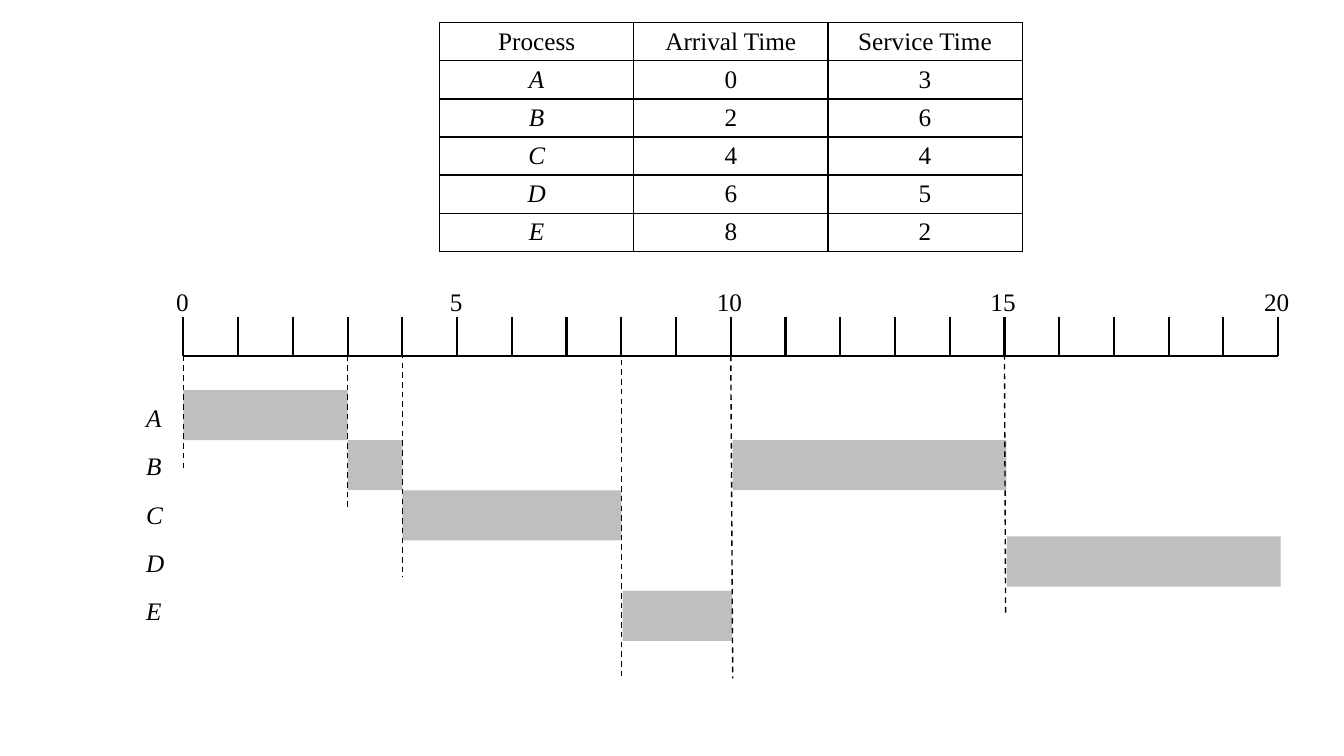
from pptx import Presentation
from pptx.dml.color import RGBColor as Rgb
from pptx.enum.dml import MSO_LINE as Dash
from pptx.enum.shapes import MSO_CONNECTOR as Conn, MSO_SHAPE as Shape
from pptx.enum.text import MSO_ANCHOR as Anchor, PP_ALIGN as Align
from pptx.oxml.ns import qn
from pptx.util import Pt
from lxml.etree import SubElement as sub

FONT, BLACK, GRAY = "Times New Roman", "000000", "BFBFBF"
TABLE = [
    ("Process", "Arrival Time", "Service Time"),
    ("A", "0", "3"),
    ("B", "2", "6"),
    ("C", "4", "4"),
    ("D", "6", "5"),
    ("E", "8", "2"),
]
LANES = {"A": 278.6, "B": 314.4, "C": 350.2, "D": 383.2, "E": 422}
BARS = [("A", 0, 3, 0), ("B", 3, 4, 0), ("C", 4, 8, 0),
        ("E", 8, 10, 1), ("B", 10, 15, 1.4), ("D", 15, 20, 1.8)]
DROPS = [(0, 254, 336, 0), (3, 254, 364.5, 0), (4, 252, 412.5, 0),
         (8, 250, 484.5, 0), (10, 254, 484.5, 1.4), (15, 253, 440, 0.8)]
END, STEP, LEFT, AXIS, TOP = 20, 39.1, 131, 254.2, 226.1


def rgb(text):
    return Rgb.from_string(text)


def at(time):
    return LEFT + time * STEP


def style(para, italic):
    font = para.font
    font.name, font.size, font.italic = FONT, Pt(18), italic
    font.color.rgb = rgb(BLACK)


def line(x1, y1, x2, y2, width=1.5, dash=None):
    rule = slide.shapes.add_connector(
        Conn.STRAIGHT, Pt(x1), Pt(y1), Pt(x2), Pt(y2))
    rule.line.color.rgb = rgb(BLACK)
    rule.line.width = Pt(width)
    if dash:
        rule.line.dash_style = dash
    sub(rule._element.spPr, qn("a:effectLst"))


def label(text, x, y, width, italic=False):
    box = slide.shapes.add_textbox(Pt(x), Pt(y), Pt(width), Pt(29))
    box.text_frame.word_wrap = True
    para = box.text_frame.paragraphs[0]
    para.text = text
    style(para, italic)


def border(cell):
    props = cell._tc.get_or_add_tcPr()
    for i, side in enumerate(("lnL", "lnR", "lnT", "lnB")):
        edge = props.makeelement(qn("a:" + side), {"w": str(Pt(1))})
        fill = sub(edge, qn("a:solidFill"))
        sub(fill, qn("a:srgbClr"), val=BLACK)
        props.insert(i, edge)


def table():
    rows, cols = len(TABLE), len(TABLE[0])
    grid = slide.shapes.add_table(
        rows, cols, Pt(314), Pt(16.3), Pt(138.7 * cols), Pt(27.2 * rows)).table
    grid.first_row = grid.horz_banding = False
    for r, row in enumerate(TABLE):
        for c, text in enumerate(row):
            cell = grid.cell(r, c)
            cell.fill.background()
            cell.margin_top = cell.margin_bottom = Pt(3)
            cell.vertical_anchor = Anchor.MIDDLE
            para = cell.text_frame.paragraphs[0]
            para.text, para.alignment = text, Align.CENTER
            style(para, r > 0 and c == 0)
            border(cell)


def bar(lane, start, end, nudge):
    block = slide.shapes.add_shape(
        Shape.RECTANGLE, Pt(at(start) + nudge), Pt(LANES[lane]),
        Pt((end - start) * STEP), Pt(35.8))
    block.shadow.inherit = False
    block.fill.solid()
    block.fill.fore_color.rgb = rgb(GRAY)
    block.line.fill.background()


deck = Presentation()
deck.slide_width, deck.slide_height = Pt(960), Pt(540)
slide = deck.slides.add_slide(deck.slide_layouts[6])

table()
line(LEFT, AXIS, at(END), AXIS)
for time in range(END + 1):
    line(at(time), TOP, at(time), AXIS)
for time in range(0, END + 1, 5):
    text = str(time)
    label(text, at(time) - 7.5 - 4.8 * len(text), 200.9, 34.6)
for part in BARS:
    bar(*part)
for time, top, low, lean in DROPS:
    line(at(time), top, at(time) + lean, low, 1, Dash.DASH)
for i, name in enumerate(LANES):
    label(name, 97.2, 283.7 + 34.55 * i, 41.8, True)

deck.save("out.pptx")
